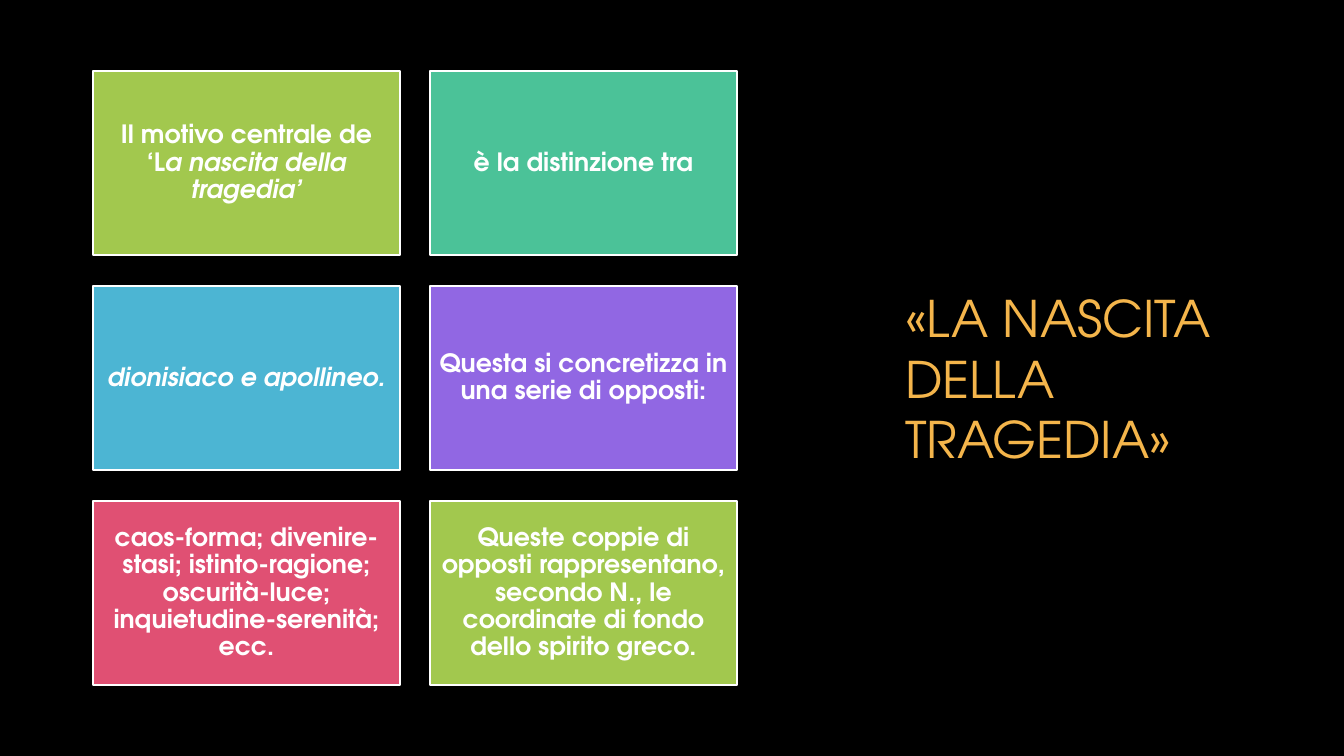
from pptx import Presentation
from pptx.dml.color import RGBColor
from pptx.enum.shapes import MSO_SHAPE
from pptx.enum.text import MSO_ANCHOR, MSO_AUTO_SIZE, PP_ALIGN
from pptx.util import Emu, Inches, Pt

FONT = "TeX Gyre Adventor"
COLORS = {
    "black": "000000",
    "white": "FFFFFF",
    "orange": "F4B54B",
    "lime": "A2C84E",
    "green": "4BC298",
    "blue": "4CB5D3",
    "purple": "9167E3",
    "pink": "E05073",
}
CARDS = [
    ("lime", [("Il motivo centrale de ‘L", False), ("a nascita della tragedia’", True)]),
    ("green", [("è la distinzione tra", False)]),
    ("blue", [("dionisiaco e apollineo.", True)]),
    ("purple", [("Questa si concretizza in una serie di opposti:", False)]),
    ("pink", [("caos-forma; divenire-stasi; istinto-ragione; oscurità-luce; "
               "inquietudine-serenità; ecc.", False)]),
    ("lime", [("Queste coppie di opposti rappresentano, secondo N., le coordinate "
               "di fondo dello spirito greco.", False)]),
]
LEFT, TOP, WIDTH, HEIGHT = 93, 71, 307, 184
COLUMNS, GAP_X, GAP_Y = 2, 30, 31


def px(n):
    return Emu(round(n * 914400 / 100.8))


def rgb(name):
    return RGBColor.from_string(COLORS[name])


prs = Presentation()
prs.slide_width, prs.slide_height = px(1344), px(756)
s = prs.slides.add_slide(prs.slide_layouts[5])
s.background.fill.solid()
s.background.fill.fore_color.rgb = rgb("black")

title = s.shapes.title
title.left, title.top, title.width, title.height = px(895), px(71), px(347), px(614)
tf = title.text_frame
tf.text = "«LA NASCITA DELLA TRAGEDIA»"
tf.word_wrap = True
tf.auto_size = MSO_AUTO_SIZE.NONE
tf.vertical_anchor = MSO_ANCHOR.MIDDLE
p = tf.paragraphs[0]
p.alignment = PP_ALIGN.LEFT
font = p.runs[0].font
font.name, font.size = FONT, Pt(36)
font.color.rgb = rgb("orange")

for i, (color, runs) in enumerate(CARDS):
    row, col = divmod(i, COLUMNS)
    sp = s.shapes.add_shape(
        MSO_SHAPE.RECTANGLE,
        px(LEFT + col * (WIDTH + GAP_X)), px(TOP + row * (HEIGHT + GAP_Y)),
        px(WIDTH), px(HEIGHT))
    sp.shadow.inherit = False
    sp.fill.solid()
    sp.fill.fore_color.rgb = rgb(color)
    sp.line.color.rgb = rgb("white")
    sp.line.width = Pt(1.5)
    tf = sp.text_frame
    tf.word_wrap = True
    tf.vertical_anchor = MSO_ANCHOR.MIDDLE
    tf.margin_left = tf.margin_right = tf.margin_top = tf.margin_bottom = Inches(0.07)
    p = tf.paragraphs[0]
    p.alignment = PP_ALIGN.CENTER
    p.line_spacing = 0.9
    for text, italic in runs:
        r = p.add_run()
        r.text = text
        r.font.name, r.font.size = FONT, Pt(18)
        r.font.bold, r.font.italic = True, italic
        r.font.color.rgb = rgb("white")

prs.save("out.pptx")
